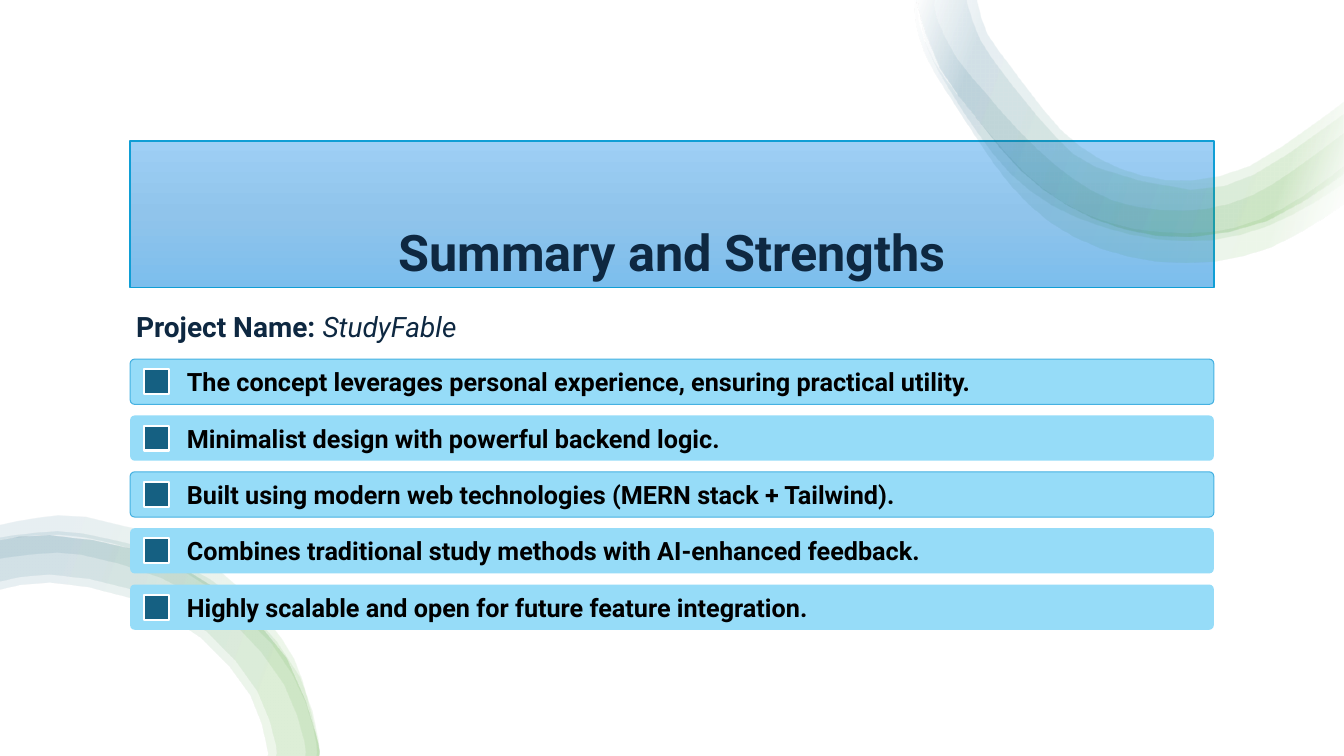
import pptx
import pptx.dml.color
import pptx.enum.shapes
import pptx.enum.text
import pptx.oxml
import pptx.oxml.ns
import pptx.util

Cm = pptx.util.Cm
Pt = pptx.util.Pt
SHAPES = pptx.enum.shapes.MSO_SHAPE
ANCHOR = pptx.enum.text.MSO_ANCHOR
ALIGN = pptx.enum.text.PP_ALIGN

FONT = "Roboto"
NAVY = "0E2841"
GRID = 2.54
UPPER_STOPS = [(2, "FFFFFF", 10), (16, "4EA72E", 10), (85, "156082", 10), (100, "FFFFFF", 10)]
LOWER_STOPS = [(16, "4EA72E", 10), (85, "156082", 10)]
TITLE_STOPS = [(0, "9ECFF5", 100), (50, "90C4EB", 100), (100, "7CBEED", 100)]

UPPER_CORE = [(.11, 0), (.11, .07), (.33, .68), (.73, 1.22), (1.13, 1.69), (1.6, 2.04),
              (2.15, 2.27), (2.81, 2.35), (3.57, 2.19), (4.21, 1.81), (4.33, 1.71)]
UPPER_BANDS = [
    ([(.07, 0), (.09, .25), (.16, .5), (.28, .74), (.42, .96), (.7, 1.39), (1.01, 1.82),
      (1.41, 2.2), (1.91, 2.46), (2.47, 2.59), (3.05, 2.59), (3.61, 2.45), (4.1, 2.18), (4.33, 2.02)],
     [(.1, 0), (.12, .25), (.26, .6), (.48, .92), (.81, 1.32), (1.15, 1.7), (1.55, 2.01),
      (2.01, 2.21), (2.5, 2.3), (3.01, 2.3), (3.48, 2.18), (3.93, 1.94), (4.33, 1.65)]),
    ([(.11, 0), (.19, .46), (.43, .91), (.7, 1.32), (1.02, 1.72), (1.44, 2.04), (1.94, 2.25),
      (2.47, 2.37), (3.02, 2.38), (3.55, 2.25), (4.03, 2.01), (4.33, 1.81)],
     [(.27, 0), (.29, .18), (.49, .58), (.8, .95), (.96, 1.14), (1.29, 1.48), (1.64, 1.77),
      (2.04, 1.99), (2.5, 2.08), (2.97, 2.07), (3.41, 1.94), (3.81, 1.7), (4.33, 1.32)]),
    (UPPER_CORE,
     [(.6, 0), (.61, .07), (.73, .4), (.95, .72), (1.13, .95), (1.49, 1.37), (1.88, 1.66),
      (2.81, 1.88), (3.44, 1.73), (4.08, 1.31), (4.33, 1.13)]),
    (UPPER_CORE,
     [(.7, 0), (.71, .06), (.8, .34), (1.03, .66), (1.21, .9), (1.53, 1.29), (1.9, 1.57),
      (2.33, 1.74), (2.81, 1.79), (3.39, 1.65), (4.02, 1.24), (4.33, 1.01)]),
]

LOWER_CORE = [(0, .36), (.49, .31), (1.41, .47), (2.22, .89), (2.84, 1.53), (3.14, 2.32), (3.16, 2.5)]
LOWER_BANDS = [
    (LOWER_CORE,
     [(0, .85), (.49, .78), (1.28, .93), (1.99, 1.33), (2.48, 1.9), (2.64, 2.39), (2.65, 2.5)]),
    (LOWER_CORE,
     [(0, .77), (.49, .7), (1.31, .85), (2.05, 1.27), (2.55, 1.86), (2.73, 2.38), (2.73, 2.5)]),
    ([(0, .34), (.38, .29), (.83, .3), (1.7, .54), (2.44, 1.03), (2.97, 1.72), (3.15, 2.33), (3.16, 2.5)],
     [(0, .55), (.39, .5), (.81, .51), (1.6, .74), (2.3, 1.17), (2.81, 1.79), (3.01, 2.35), (3.02, 2.5)]),
    ([(0, .21), (.37, .14), (.86, .13), (1.78, .4), (2.35, .81), (2.8, 1.34), (3, 1.74),
      (3.16, 2.38), (3.17, 2.5)],
     [(0, .36), (.39, .31), (.83, .33), (1.47, .5), (2.05, .81), (2.7, 1.39), (3.03, 1.96),
      (3.14, 2.38), (3.14, 2.5)]),
]

STRENGTHS = [
    ("The concept leverages personal experience, ensuring practical utility.", "46B1E1"),
    ("Minimalist design with powerful backend logic.", None),
    ("Built using modern web technologies (MERN stack + Tailwind).", "46B1E1"),
    ("Combines traditional study methods with AI-enhanced feedback.", None),
    ("Highly scalable and open for future feature integration.", None),
]


def colour(value):
    """Turn a hex string into a colour."""
    return pptx.dml.color.RGBColor.from_string(value)


def style(shape, fill=None, line=None, weight=1):
    """Set the fill and line of a shape and remove its shadow."""
    shape.shadow.inherit = False
    if fill:
        shape.fill.solid()
        shape.fill.fore_color.rgb = colour(fill)
    if line:
        shape.line.color.rgb = colour(line)
        shape.line.width = Pt(weight)
    else:
        shape.line.fill.background()


def shade(shape, stops, angle):
    """Fill a shape with a linear gradient of (percent, colour, opacity) stops."""
    shape.fill.gradient()
    gradient = shape.fill._xPr.find(pptx.oxml.ns.qn("a:gradFill"))
    for part in list(gradient):
        gradient.remove(part)
    marks = "".join(
        f'<a:gs pos="{place * 1000}"><a:srgbClr val="{tint}"><a:alpha val="{opacity * 1000}"/></a:srgbClr></a:gs>'
        for place, tint, opacity in stops)
    filled = pptx.oxml.parse_xml(
        f'<a:gradFill {pptx.oxml.ns.nsdecls("a")}><a:gsLst>{marks}</a:gsLst>'
        f'<a:lin ang="{angle * 60000}" scaled="0"/></a:gradFill>')
    gradient.extend(list(filled))


def write(shape, runs, size, tint, anchor, align=ALIGN.LEFT):
    """Write (text, bold, italic) runs as one paragraph and return it."""
    frame = shape.text_frame
    frame.word_wrap = True
    frame.vertical_anchor = anchor
    paragraph = frame.paragraphs[0]
    paragraph.alignment = align
    for words, bold, italic in runs:
        run = paragraph.add_run()
        run.text = words
        run.font.name = FONT
        run.font.size = Pt(size)
        run.font.bold = bold
        run.font.italic = italic
        run.font.color.rgb = colour(tint)
    return paragraph


def smooth(knots, steps=2):
    """Return points on a Catmull-Rom curve through the knots."""
    padded = [knots[0], *knots, knots[-1]]
    curve = []
    for before, start, end, after in zip(padded, padded[1:], padded[2:], padded[3:]):
        for step in range(steps):
            t = step / steps
            curve.append(tuple(
                b + t * (c - a) / 2 + t * t * (2 * a - 5 * b + 4 * c - d) / 2
                + t ** 3 * (3 * b - a - 3 * c + d) / 2
                for a, b, c, d in zip(before, start, end, after)))
    return curve + [knots[-1]]


def add_backdrop(slide, box):
    """Cover the box with a plain white panel."""
    backdrop = slide.shapes.add_shape(SHAPES.RECTANGLE, *box)
    style(backdrop, "FFFFFF")


def add_ribbon(slide, box, bands, stops):
    """Draw overlapping translucent bands from the top left of the box."""
    left, top = box
    for outer, inner in bands:
        outline = [(Cm(left + x * GRID), Cm(top + y * GRID))
                   for x, y in smooth(outer) + smooth(inner)[::-1]]
        builder = slide.shapes.build_freeform(*outline[0])
        builder.add_line_segments(outline[1:], close=True)
        band = builder.convert_to_shape()
        style(band)
        shade(band, stops, 200)


def add_title(slide, box):
    """Draw the heading panel."""
    panel = slide.shapes.add_shape(SHAPES.RECTANGLE, *map(Cm, box))
    style(panel, line="0F9ED5")
    shade(panel, TITLE_STOPS, 90)
    heading = write(panel, [("Summary and Strengths", True, False)], 36, NAVY, ANCHOR.BOTTOM, ALIGN.CENTER)
    heading.line_spacing = 0.9
    heading.space_after = Pt(6)


def add_project_name(slide, box):
    """Write the project line."""
    project = slide.shapes.add_textbox(*map(Cm, box))
    write(project, [("Project Name: ", True, False), ("StudyFable", False, True)], 20, NAVY, ANCHOR.TOP)


def add_strengths(slide, box):
    """Stack one bar with marker and text for each strength."""
    left, top, width, height = box
    pitch, marker_size, indent = 1.42, 0.63, 1.31
    bar_height = height - pitch * (len(STRENGTHS) - 1)
    for row, (strength, edge) in enumerate(STRENGTHS):
        bar_top = top + row * pitch
        bar = slide.shapes.add_shape(
            SHAPES.ROUNDED_RECTANGLE, Cm(left), Cm(bar_top), Cm(width), Cm(bar_height))
        bar.adjustments[0] = 0.1
        style(bar, "96DCF8", edge, 0.75)
        marker = slide.shapes.add_shape(
            SHAPES.RECTANGLE, Cm(left + 0.35), Cm(bar_top + (bar_height - marker_size) / 2),
            Cm(marker_size), Cm(marker_size))
        style(marker, "156082", "FFFFFF", 1.5)
        label = slide.shapes.add_textbox(
            Cm(left + indent), Cm(bar_top), Cm(width - indent), Cm(bar_height))
        frame = label.text_frame
        frame.margin_left = frame.margin_right = frame.margin_top = frame.margin_bottom = Cm(0.12)
        write(label, [(strength, True, False)], 18, "000000", ANCHOR.MIDDLE)


def main():
    """Build the slide and save it."""
    deck = pptx.Presentation()
    deck.slide_width, deck.slide_height = Cm(33.87), Cm(19.05)
    slide = deck.slides.add_slide(deck.slide_layouts[6])
    add_backdrop(slide, (0, 0, deck.slide_width, deck.slide_height))
    add_title(slide, (3.28, 3.55, 27.32, 3.69))
    add_ribbon(slide, (22.86, 0), UPPER_BANDS, UPPER_STOPS)
    add_ribbon(slide, (0, 12.7), LOWER_BANDS, LOWER_STOPS)
    add_strengths(slide, (3.28, 9.05, 27.31, 6.82))
    add_project_name(slide, (3.18, 7.67, 9.7, 0.97))
    deck.save("out.pptx")


if __name__ == "__main__":
    main()
